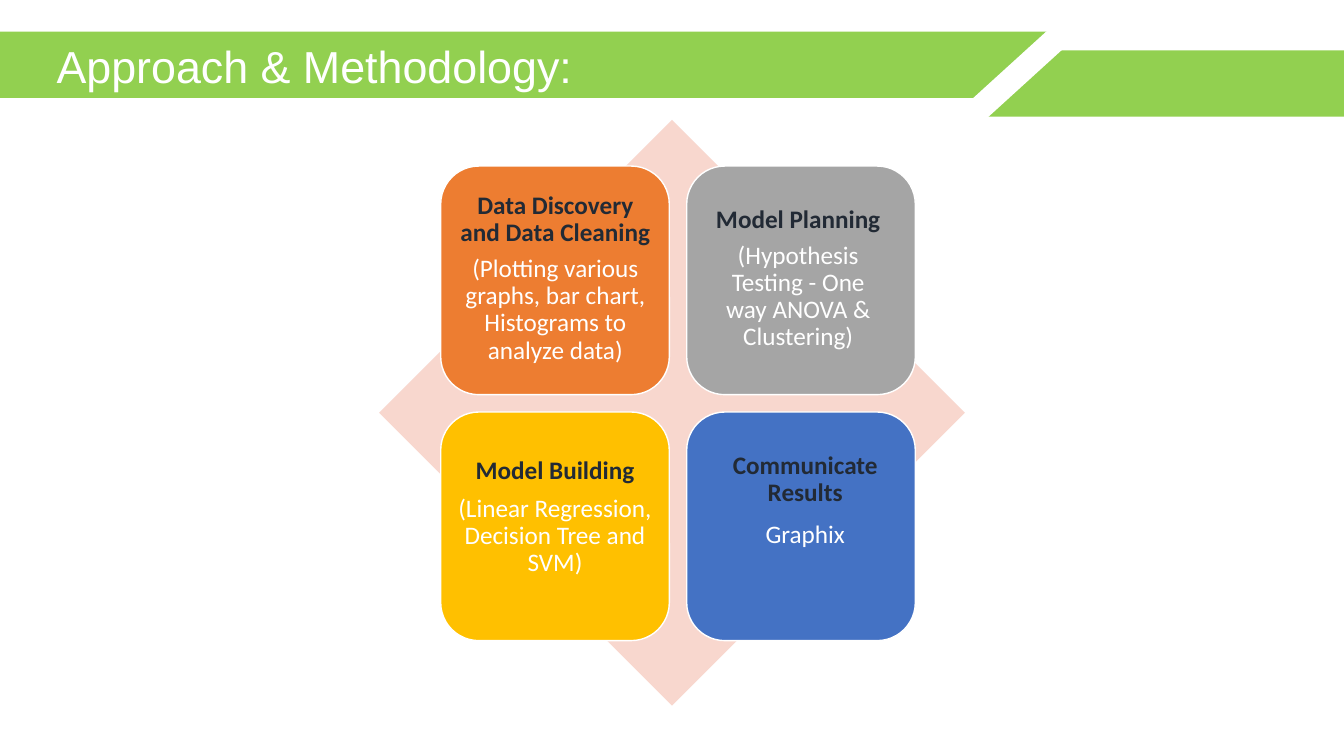
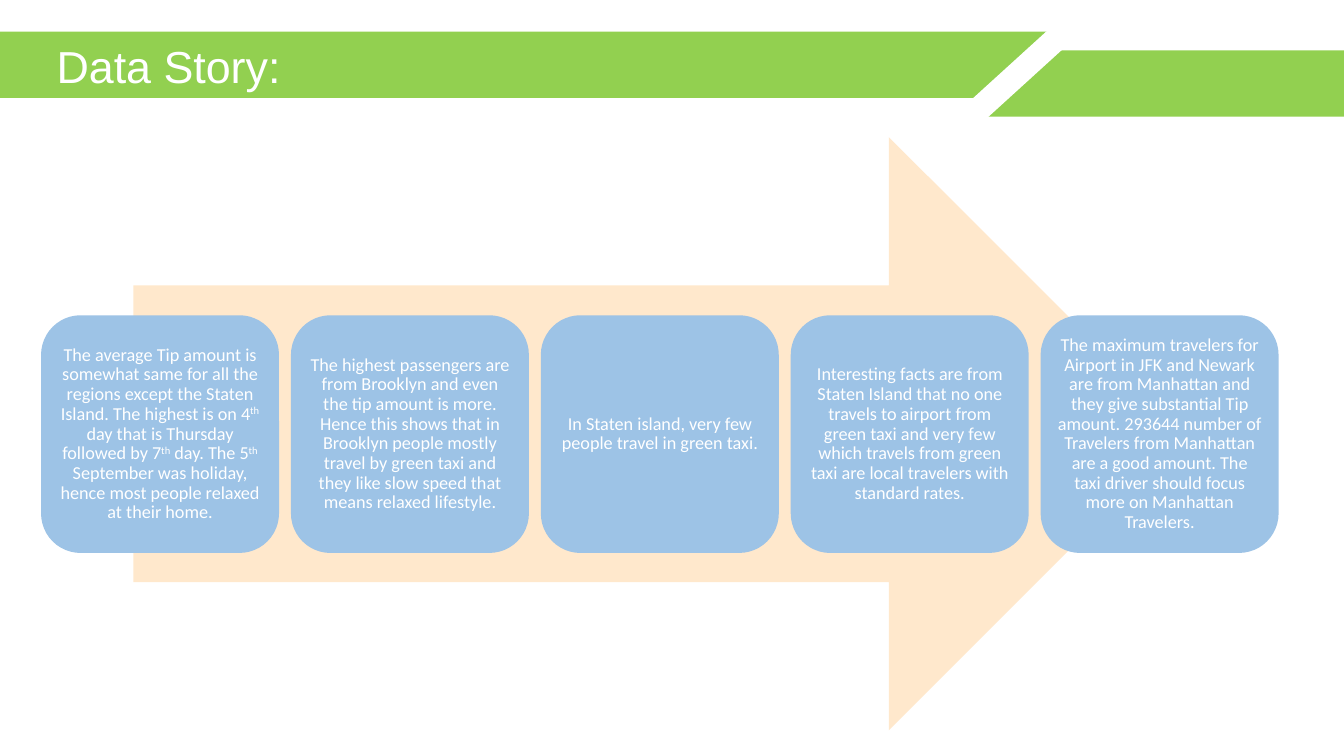
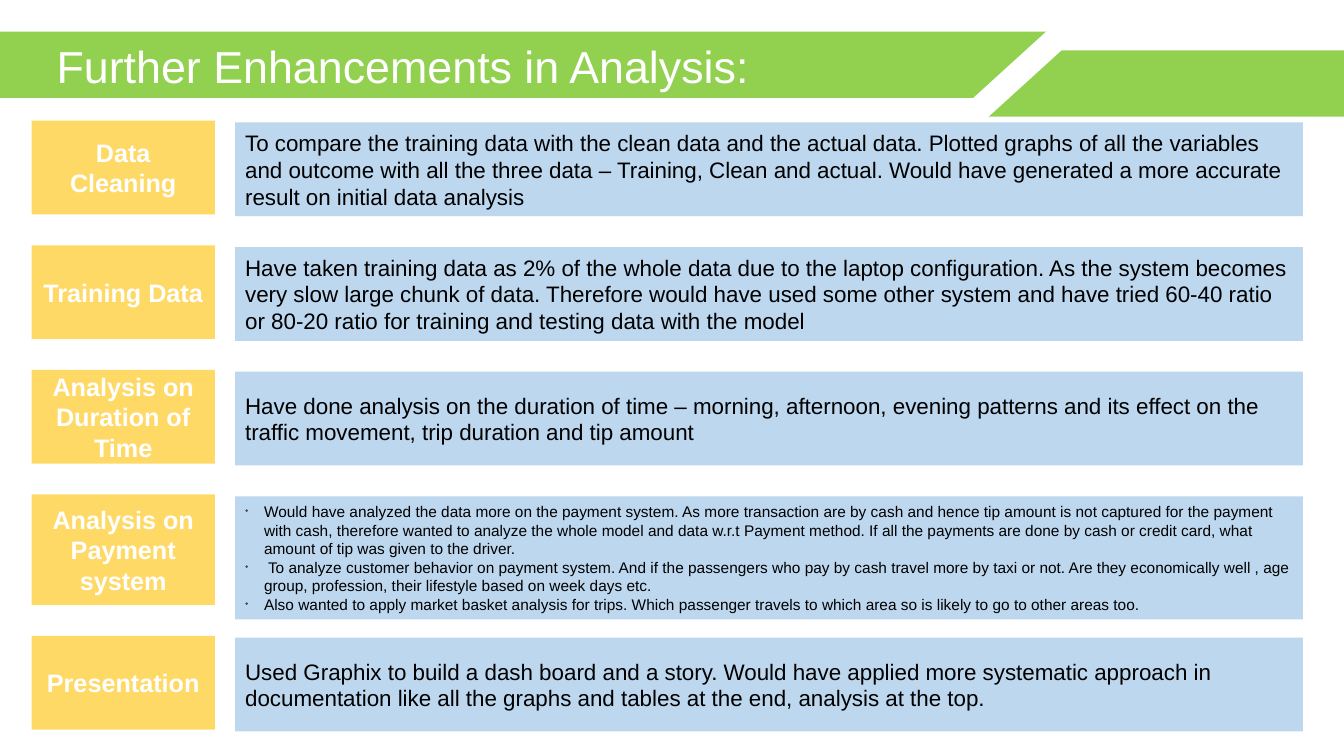
from dataclasses import dataclass

from lxml import etree
from pptx import Presentation
from pptx.dml.color import RGBColor
from pptx.enum.shapes import MSO_SHAPE
from pptx.enum.text import MSO_ANCHOR, MSO_AUTO_SIZE, PP_ALIGN
from pptx.oxml.ns import qn
from pptx.util import Pt

RECTANGLE = MSO_SHAPE.RECTANGLE
ROUNDED = MSO_SHAPE.ROUNDED_RECTANGLE
DIAMOND = MSO_SHAPE.DIAMOND
RIGHT_ARROW = MSO_SHAPE.RIGHT_ARROW
TOP, MIDDLE, BOTTOM = MSO_ANCHOR.TOP, MSO_ANCHOR.MIDDLE, MSO_ANCHOR.BOTTOM
LEFT, CENTER = PP_ALIGN.LEFT, PP_ALIGN.CENTER
NO_AUTOFIT = MSO_AUTO_SIZE.NONE
TITLE_ONLY = 5

WIDTH, HEIGHT = 960, 540
GREEN, WHITE, BLACK, NAVY = "92D050", "FFFFFF", "000000", "222A35"
PINK, CREAM = "F8D7CE", "FFE8CC"
ORANGE, GRAY, GOLD, BLUE = "ED7D31", "A5A5A5", "FFC000", "4472C4"
SKY, PALE_BLUE, YELLOW = "9DC3E6", "BDD7EE", "FFD966"
HEADING_FONT, CARD_FONT = "Arial", "Calibri"


def color(hex_string):
    return RGBColor.from_string(hex_string)


@dataclass
class TextStyle:
    font: str
    size: float
    color: str = WHITE
    bold: bool = False
    align: PP_ALIGN = CENTER
    line_spacing: float = 1.0
    space_after: float = 0
    bullet: str = ""


class Deck:
    """Holds the shared style and the slide being built; lengths are points."""

    def __init__(self):
        self.presentation = Presentation()
        self.presentation.slide_width = Pt(WIDTH)
        self.presentation.slide_height = Pt(HEIGHT)
        self.slide = None

    def start_slide(self, title):
        layout = self.presentation.slide_layouts[TITLE_ONLY]
        self.slide = self.presentation.slides.add_slide(layout)
        band = self.slide.shapes.title
        band.left, band.top, band.width, band.height = Pt(0), Pt(22.5), Pt(756), Pt(47.5)
        band.fill.solid()
        band.fill.fore_color.rgb = color(GREEN)
        self.frame(band, BOTTOM, (40.4, 3.6, 7.2, 3.6))
        style = TextStyle(HEADING_FONT, 32, align=LEFT, line_spacing=0.9)
        self.add_text(band, [title], style)
        self.shape(RECTANGLE, 697.7, 36, WIDTH - 697.7, 47.3, GREEN)
        slash = self.shape(RECTANGLE, 670.3, 43.2, 115.2, 17.3, WHITE)
        slash.rotation = 137.7

    def shape(self, kind, left, top, width, height, fill, line=None):
        shape = self.slide.shapes.add_shape(kind, Pt(left), Pt(top), Pt(width), Pt(height))
        shape.shadow.inherit = False
        shape.fill.solid()
        shape.fill.fore_color.rgb = color(fill)
        if line:
            shape.line.color.rgb = color(line)
            shape.line.width = Pt(1)
        else:
            shape.line.fill.background()
        return shape

    def frame(self, shape, anchor, margins=(7.2, 3.6, 7.2, 3.6)):
        """Set the anchor and the left, top, right and bottom margins."""
        frame = shape.text_frame
        frame.word_wrap = True
        frame.auto_size = NO_AUTOFIT
        frame.vertical_anchor = anchor
        (frame.margin_left, frame.margin_top,
         frame.margin_right, frame.margin_bottom) = map(Pt, margins)

    def add_text(self, shape, paragraphs, *styles):
        """Add paragraphs, each a string or a list of runs; the last style repeats.

        In a list, every second run is superscript.
        """
        frame = shape.text_frame
        for index, runs in enumerate(paragraphs):
            style = styles[min(index, len(styles) - 1)]
            paragraph = frame.add_paragraph() if index else frame.paragraphs[0]
            paragraph.alignment = style.align
            paragraph.line_spacing = style.line_spacing
            paragraph.space_after = Pt(style.space_after)
            if style.bullet:
                self.add_bullet(paragraph, style.bullet)
            for position, text in enumerate([runs] if isinstance(runs, str) else runs):
                run = paragraph.add_run()
                run.text = text
                run.font.name = style.font
                run.font.size = Pt(style.size)
                run.font.bold = style.bold
                run.font.color.rgb = color(style.color)
                if position % 2:
                    run.font._element.set("baseline", "30000")

    def add_bullet(self, paragraph, character):
        properties = paragraph._p.get_or_add_pPr()
        properties.set("marL", str(Pt(13.5)))
        properties.set("indent", str(-Pt(13.5)))
        etree.SubElement(properties, qn("a:buSzPct"), val="25000")
        etree.SubElement(properties, qn("a:buFont"), typeface=HEADING_FONT)
        etree.SubElement(properties, qn("a:buChar"), char=character)


def build_methodology(deck):
    deck.start_slide("Approach & Methodology:")
    deck.shape(DIAMOND, 270.8, 85.7, 418.4, 418.4, PINK)
    # fill, heading, detail, gap after heading, left / top / right margins
    cards = [
        (ORANGE, "Data Discovery and Data Cleaning",
         "(Plotting various graphs, bar chart, Histograms to analyze data)",
         6.3, (5, 10.8, 4.5)),
        (GRAY, "Model Planning",
         "(Hypothesis Testing - One way ANOVA & Clustering)",
         6.3, (11, 20.8, 15)),
        (GOLD, "Model Building",
         "(Linear Regression, Decision Tree and SVM)",
         8, (0, 24.4, 0)),
        (BLUE, "Communicate Results", "Graphix", 10.7, (22, 20.8, 16)),
    ]
    size, pitch = 163.3, 175.7
    for index, (fill, heading, detail, gap, margins) in enumerate(cards):
        row, column = divmod(index, 2)
        card = deck.shape(ROUNDED, 314.8 + column * pitch, 118.6 + row * pitch,
                          size, size, fill, WHITE)
        deck.frame(card, TOP, (*margins, 0))
        deck.add_text(card, [heading, detail],
                      TextStyle(CARD_FONT, 18, NAVY, True, line_spacing=0.9, space_after=gap),
                      TextStyle(CARD_FONT, 18, line_spacing=0.9))


def build_story(deck):
    deck.start_slide("Data Story:")
    deck.shape(RIGHT_ARROW, 95.2, 97.9, 751.6, 423.8, CREAM)
    findings = [
        ["The average Tip amount is somewhat same for all the regions except the "
         "Staten Island. The highest is on 4", "th",
         " day that is Thursday followed by 7", "th", " day. The 5", "th",
         " September was holiday, hence most people relaxed at their home."],
        "The highest passengers are from Brooklyn and even the tip amount is more. "
        "Hence this shows that in Brooklyn people mostly travel by green taxi and "
        "they like slow speed that means relaxed lifestyle.",
        "In Staten island, very few people travel in green taxi.",
        "Interesting facts are from Staten Island that no one travels to airport from "
        "green taxi and very few which travels from green taxi are local travelers "
        "with standard rates.",
        "The maximum travelers for Airport in JFK and Newark are from Manhattan and "
        "they give substantial Tip amount. 293644 number of Travelers from Manhattan "
        "are a good amount. The taxi driver should focus more on Manhattan Travelers.",
    ]
    style = TextStyle(CARD_FONT, 13, line_spacing=0.9)
    for index, finding in enumerate(findings):
        card = deck.shape(ROUNDED, 29.3 + index * 178.5, 225.2, 170, 169.8, SKY)
        deck.frame(card, MIDDLE, (3.6, 3.6, 3.6, 3.6))
        deck.add_text(card, [finding], style)


def build_enhancements(deck):
    deck.start_slide("Further Enhancements in Analysis:")
    body = TextStyle(HEADING_FONT, 16, BLACK, align=LEFT)
    bullets = TextStyle(HEADING_FONT, 11, BLACK, align=LEFT, bullet="❖")
    label_style = TextStyle(HEADING_FONT, 18, bold=True)
    # label, paragraphs, style, label height, body height
    rows = [
        ("Data Cleaning",
         ["To compare the training data with the clean data and the actual data. "
          "Plotted graphs of all the variables and outcome with all the three data – "
          "Training, Clean and actual. Would have generated a more accurate result on "
          "initial data analysis"], body, 67, 67),
        ("Training Data",
         ["Have taken training data as 2% of the whole data due to the laptop "
          "configuration. As the system becomes very slow large chunk of data. "
          "Therefore would have used some other system and have tried 60-40 ratio or "
          "80-20 ratio for training and testing data with the model"], body, 67, 67),
        ("Analysis on Duration of Time",
         ["Have done analysis on the duration of time – morning, afternoon, evening "
          "patterns and its effect on the traffic movement, trip duration and tip "
          "amount"], body, 67, 67),
        ("Analysis on Payment system",
         ["Would have analyzed the data more on the payment system. As more "
          "transaction are by cash and hence tip amount is not captured for the "
          "payment with cash, therefore wanted to analyze the whole model and data "
          "w.r.t Payment method. If all the payments are done by cash or credit card, "
          "what amount of tip was given to the driver.",
          " To analyze customer behavior on payment system. And if the passengers who "
          "pay by cash travel more by taxi or not. Are they economically well , age "
          "group, profession, their lifestyle based on week days etc.",
          "Also wanted to apply market basket analysis for trips. Which passenger "
          "travels to which area so is likely to go to other areas too."],
         bullets, 79, 88),
        ("Presentation",
         ["Used Graphix to build a dash board and a story. Would have applied more "
          "systematic approach in documentation like all the graphs and tables at the "
          "end, analysis at the top."], body, 67, 67),
    ]
    top, gap = 86.2, 22
    for label, paragraphs, style, label_height, body_height in rows:
        label_box = deck.shape(RECTANGLE, 22.5, top, 131, label_height, YELLOW)
        deck.frame(label_box, MIDDLE)
        deck.add_text(label_box, [label], label_style)
        body_box = deck.shape(RECTANGLE, 168, top + 1.3, 762.6, body_height, PALE_BLUE)
        deck.frame(body_box, MIDDLE)
        deck.add_text(body_box, paragraphs, style)
        top += label_height + gap


def main():
    deck = Deck()
    build_methodology(deck)
    build_story(deck)
    build_enhancements(deck)
    deck.presentation.save("out.pptx")


if __name__ == "__main__":
    main()
